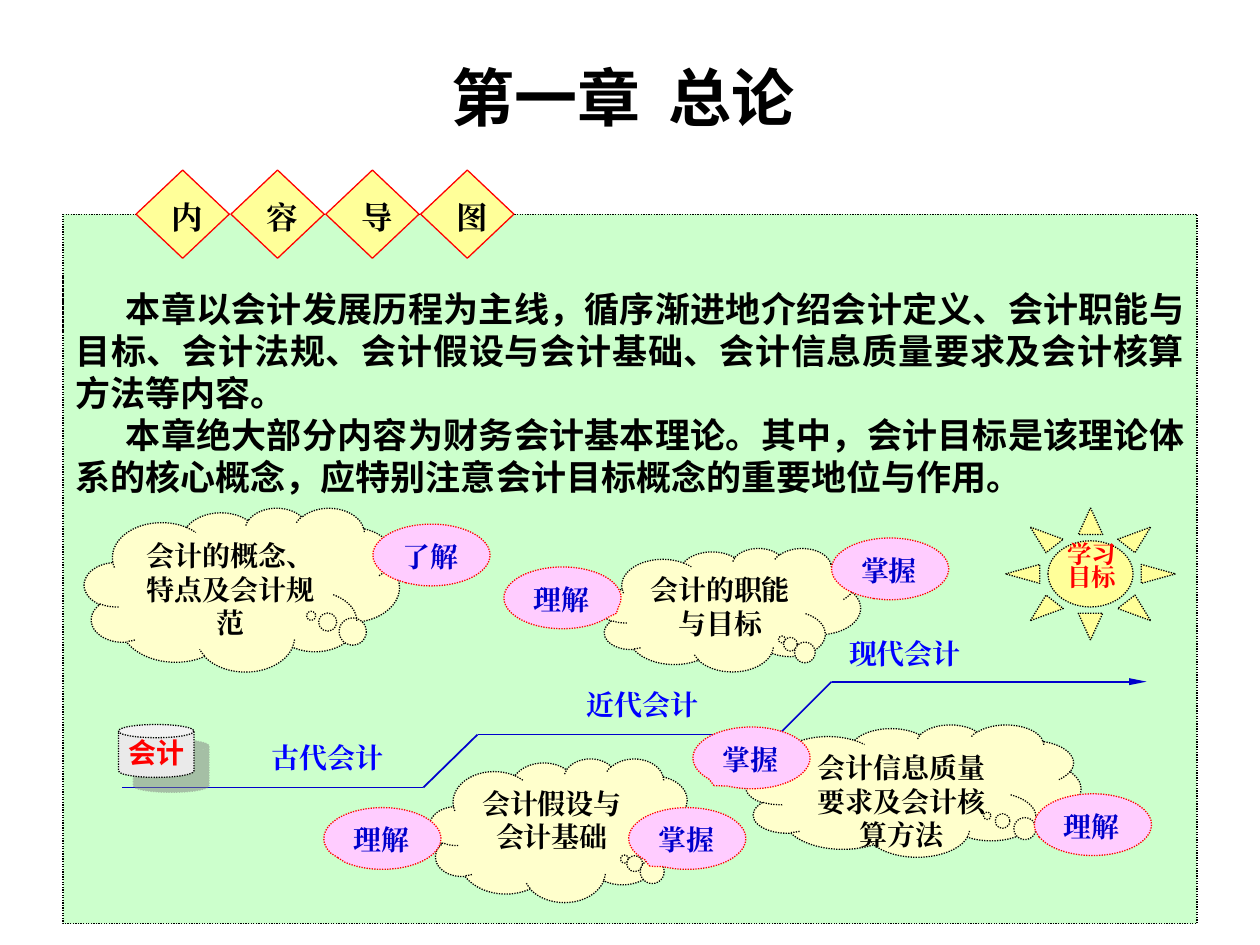
from itertools import pairwise

from lxml import etree
from pptx import Presentation, util as u
from pptx.dml.color import RGBColor
from pptx.enum import dml, shapes, text
from pptx.oxml.ns import qn

COLORS = {
    "ink": "000000", "panel": "CCFFCC", "diamond": "FFFF99", "cloud": "FFFFCC",
    "badge": "FFCCFF", "can": "EAEAEA", "red": "FF0000", "stage": "0000FF",
    "navy": "0000CC", "shade": "808080",
}
SERIF, SANS, CJK = "Times New Roman", "Arial", "Noto Sans CJK SC"
KIND = shapes.MSO_SHAPE
CENTER, JUSTIFY = text.PP_ALIGN.CENTER, text.PP_ALIGN.JUSTIFY


def rgb(name):
    return RGBColor.from_string(COLORS[name])


class ChapterSlide:
    def __init__(self, slide):
        self.shapes = slide.shapes

    def add_words(self, holder, paragraphs, size=16, color="ink", font=SERIF,
                  align=CENTER, spacing=None, indent=0, top=0.05,
                  anchor=text.MSO_ANCHOR.TOP):
        frame = holder.text_frame
        frame.word_wrap = True
        frame.vertical_anchor = anchor
        frame.margin_top = u.Inches(top)
        for i, words in enumerate(paragraphs):
            para = frame.add_paragraph() if i else frame.paragraphs[0]
            para.alignment = align
            if spacing:
                para.line_spacing = spacing
            if indent:
                para._p.get_or_add_pPr().set("indent", str(u.Inches(indent)))
            run = para.add_run()
            run.text = words
            run.font.size = u.Pt(size)
            run.font.bold = True
            run.font.color.rgb = rgb(color)
            run.font.name = font
            east_asian = etree.SubElement(run._r.get_or_add_rPr(), qn("a:ea"))
            east_asian.set("typeface", font)

    def shape(self, kind, box, fill, line="ink", adjust=(), dotted=True):
        shape = self.shapes.add_shape(kind, *map(u.Inches, box))
        shape.shadow.inherit = False
        for i, value in enumerate(adjust):
            shape.adjustments[i] = value
        shape.fill.solid()
        shape.fill.fore_color.rgb = rgb(fill)
        shape.line.color.rgb = rgb(line)
        shape.line.width = u.Pt(0.75)
        if dotted:
            shape.line.dash_style = dml.MSO_LINE.ROUND_DOT
        return shape

    def caption(self, box, words, **style):
        self.add_words(self.shapes.add_textbox(*map(u.Inches, box)), [words], **style)

    def cloud(self, box, adjust, words):
        outline = self.shape(KIND.CLOUD_CALLOUT, box, "cloud", adjust=adjust)
        self.add_words(outline, [words])

    def badge(self, left, top, adjust, words):
        oval = self.shape(KIND.OVAL_CALLOUT, (left, top, 0.93, 0.49),
                          "badge", "red", adjust)
        self.add_words(oval, [words], color="navy", align=JUSTIFY)

    def segment(self, start, end):
        line = self.shapes.add_connector(
            shapes.MSO_CONNECTOR.STRAIGHT, *map(u.Inches, (*start, *end)))
        line.line.color.rgb = rgb("navy")
        line.line.width = u.Pt(1)
        etree.SubElement(line._element.spPr, qn("a:effectLst"))
        return line

    def arrowhead(self, line):
        tail = etree.SubElement(line.line._get_or_add_ln(), qn("a:tailEnd"))
        for key, value in (("type", "triangle"), ("w", "sm"), ("len", "lg")):
            tail.set(key, value)

    def drop_shadow(self, shape):
        """Half-transparent shadow, 12.1 pt towards the lower right."""
        effects = shape._element.spPr.find(qn("a:effectLst"))
        shadow = etree.SubElement(effects, qn("a:outerShdw"), dist=str(u.Pt(12.1)),
                                  dir="2700000", algn="ctr", rotWithShape="0")
        shade = etree.SubElement(shadow, qn("a:srgbClr"), val=COLORS["shade"])
        etree.SubElement(shade, qn("a:alpha"), val="50000")


def main():
    deck = Presentation()
    deck.slide_width, deck.slide_height = u.Inches(10), u.Inches(7.5)
    page = ChapterSlide(deck.slides.add_slide(deck.slide_layouts[6]))

    page.caption((0.5, 0.25, 9, 1.03), "第一章  总论 ", size=36, font=CJK,
                 anchor=text.MSO_ANCHOR.MIDDLE)

    panel = page.shape(KIND.RECTANGULAR_CALLOUT, (0.5, 1.7, 9, 5.63), "panel",
                       adjust=(-0.5, -0.415))
    page.add_words(panel, [
        "本章以会计发展历程为主线，循序渐进地介绍会计定义、会计职能与目标、会计法规、"
        "会计假设与会计基础、会计信息质量要求及会计核算方法等内容。",
        "本章绝大部分内容为财务会计基本理论。其中，会计目标是该理论体系的核心概念，"
        "应特别注意会计目标概念的重要地位与作用。",
    ], size=20, font=SANS, align=JUSTIFY, indent=0.4, top=0.58)

    for i, character in enumerate("内容导图"):
        diamond = page.shape(KIND.DIAMOND, (1.08 + 0.753 * i, 1.35, 0.74, 0.7),
                             "diamond", "red", dotted=False)
        page.add_words(diamond, [character], size=18, align=JUSTIFY)

    page.shape(KIND.SUN, (7.98, 4.03, 1.35, 1.05), "diamond", adjust=(0.25,))
    page.caption((8.33, 4.27, 0.67, 0.59), "学习目标", size=14, color="red", spacing=0.8)

    timeline = [(0.97, 6.25), (3.36, 6.25), (3.79, 5.83),
                (6.18, 5.83), (6.6, 5.41), (9.1, 5.41)]
    segments = [page.segment(start, end) for start, end in pairwise(timeline)]
    page.arrowhead(segments[-1])

    for left, top, era in ((2.06, 5.83, "古代会计"), (4.56, 5.41, "近代会计"),
                           (6.64, 5, "现代会计")):
        page.caption((left, top, 1.11, 0.42), era, color="stage", align=JUSTIFY)

    for box, adjust, topic in (
        ((0.67, 4.03, 2.5, 1.3), (0.22, 0.16), "会计的概念、特点及会计规范"),
        ((3.41, 6.02, 2.09, 1.14), (0.24, 0.2), "会计假设与会计基础"),
        ((4.75, 4.35, 2.08, 0.98), (0.2, 0.24), "会计的职能与目标"),
        ((5.92, 5.75, 2.66, 1.05), (0.22, 0.19), "会计信息质量要求及会计核算方法"),
    ):
        page.cloud(box, adjust, topic)

    can = page.shape(KIND.CAN, (0.94, 5.75, 0.6, 0.42), "can", adjust=(0.25,))
    page.drop_shadow(can)
    page.caption((0.92, 5.79, 0.75, 0.46), "会计", color="red", font=CJK, align=JUSTIFY)

    for left, top, adjust, level in (
        (2.96, 4.16, (-0.22, 0.45), "了解"),
        (8.21, 6.3, (-0.46, 0.2), "理解"),
        (6.6, 4.27, (-0.14, 0.48), "掌握"),
        (4.99, 6.41, (-0.32, 0.45), "掌握"),
        (2.57, 6.41, (-0.38, 0.31), "理解"),
        (4, 4.5, (0.46, 0.25), "理解"),
        (5.5, 5.77, (-0.32, 0.45), "掌握"),
    ):
        page.badge(left, top, adjust, level)

    deck.save("out.pptx")


if __name__ == "__main__":
    main()
